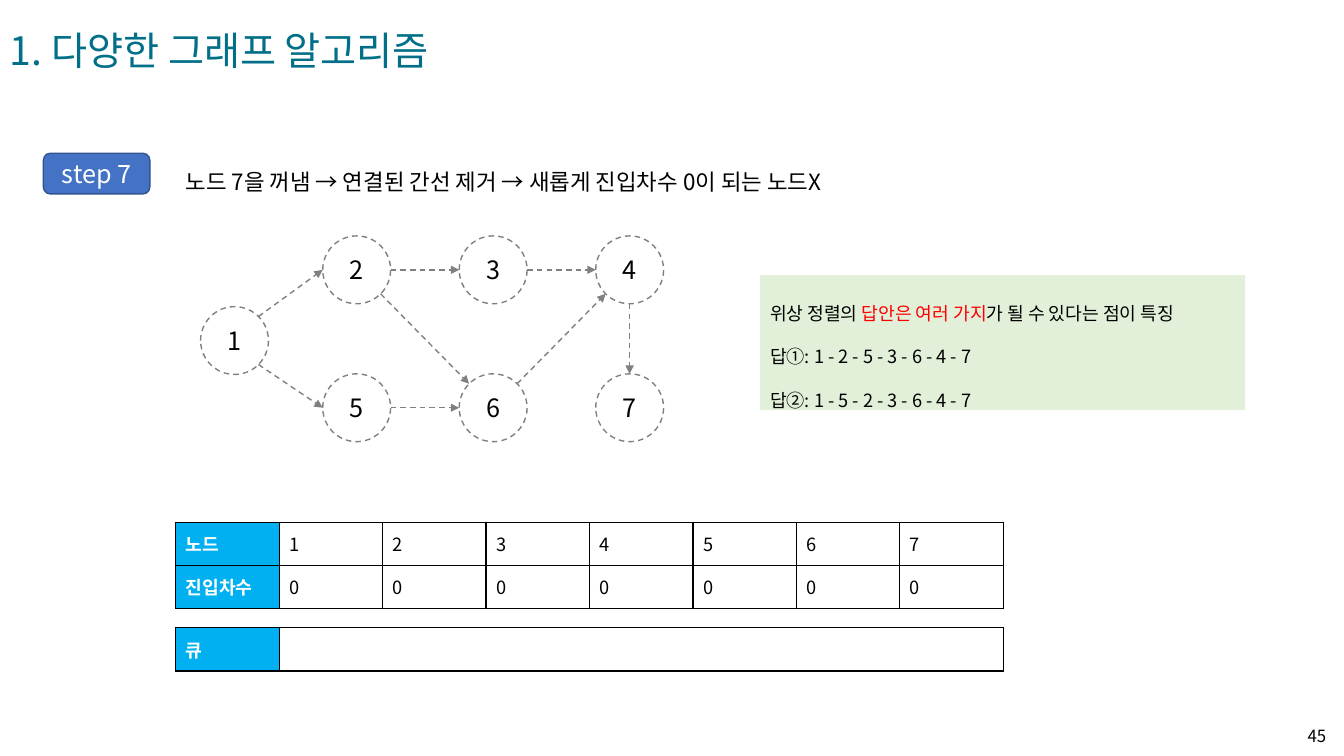
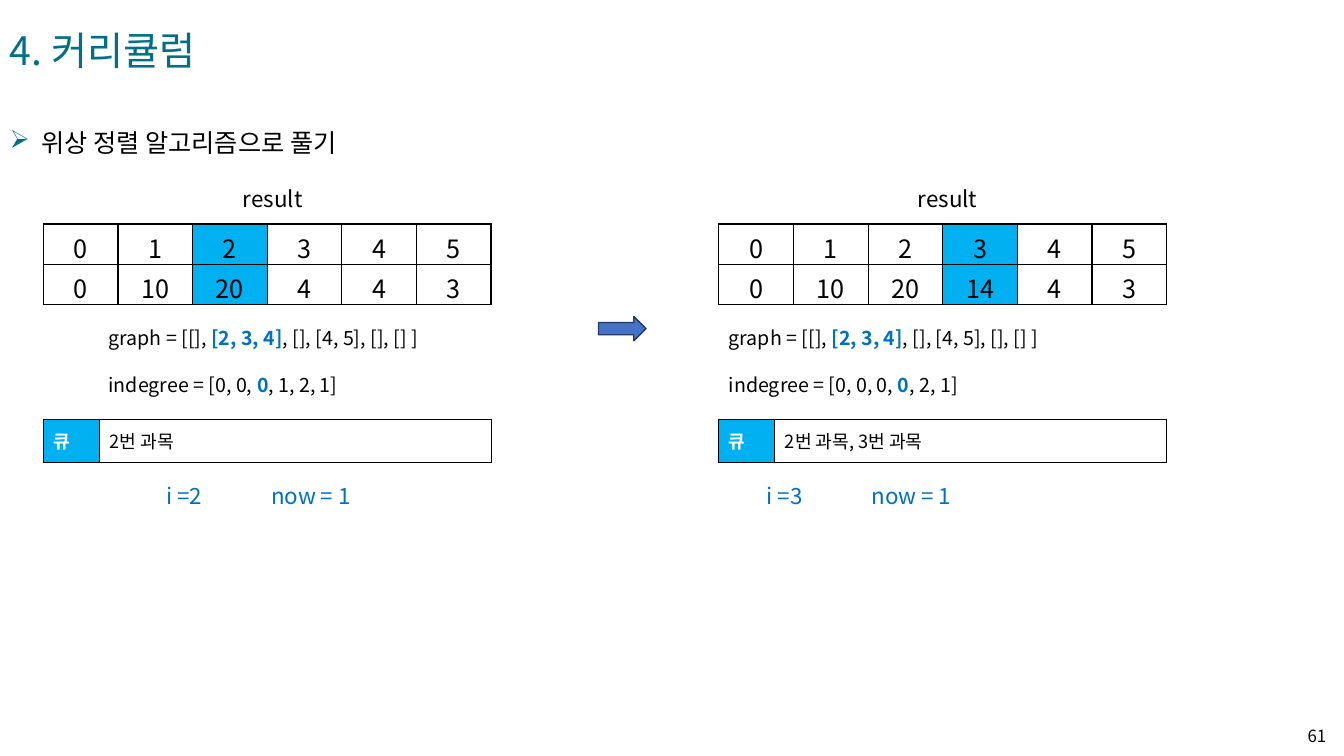
from math import sqrt

from lxml.etree import SubElement
from pptx import Presentation
from pptx.dml.color import RGBColor
from pptx.enum.dml import MSO_LINE
from pptx.enum.shapes import MSO_CONNECTOR, MSO_SHAPE
from pptx.enum.text import MSO_ANCHOR, MSO_AUTO_SIZE, PP_ALIGN
from pptx.oxml.ns import qn
from pptx.util import Pt

COLORS = {
    "title": "016F87",
    "text": "000000",
    "white": "FFFFFF",
    "accent": "4472C4",
    "step_edge": "325491",
    "arrow_edge": "223961",
    "header": "00B0F0",
    "note": "E2F0D9",
    "warning": "FF0000",
    "changed": "0070C0",
    "graph": "808080",
}
FONT = "Noto Sans CJK KR"

NODE_SIZE = 48.5
NODE_COLUMNS = [230.5 + 97.5 * column for column in range(3)]
UPPER, MIDDLE, LOWER = 168.5, 219, 267
NODES = {
    1: (143.25, MIDDLE),
    2: (NODE_COLUMNS[0], UPPER),
    3: (NODE_COLUMNS[1], UPPER),
    4: (NODE_COLUMNS[2], UPPER),
    5: (NODE_COLUMNS[0], LOWER),
    6: (NODE_COLUMNS[1], LOWER),
    7: (NODE_COLUMNS[2], LOWER),
}
DIAGONAL = sqrt(0.5)
RIM = {
    "top": (0, -1), "bottom": (0, 1), "left": (-1, 0), "right": (1, 0),
    "top left": (-DIAGONAL, -DIAGONAL), "top right": (DIAGONAL, -DIAGONAL),
    "bottom left": (-DIAGONAL, DIAGONAL), "bottom right": (DIAGONAL, DIAGONAL),
}
EDGES = [
    (1, "top right", 2, "left"),
    (1, "bottom right", 5, "left"),
    (2, "right", 3, "left"),
    (5, "right", 6, "left"),
    (2, "bottom right", 6, "top left"),
    (6, "top right", 4, "bottom left"),
    (3, "right", 4, "left"),
    (4, "bottom", 7, "top"),
]


def rgb(color):
    return RGBColor.from_string(COLORS[color])


def style_font(font, size, color="text", bold=False):
    font.size = Pt(size)
    font.bold = bold
    font.color.rgb = rgb(color)
    font.name = FONT
    SubElement(font._rPr, qn("a:ea")).set("typeface", FONT)


def write(frame, paragraphs, size, color="text", bold=False, align=None,
          spacing=None, bullet=None):
    """Fill a text frame; a paragraph is a string or a list of (text, color, bold)."""
    for index, content in enumerate(paragraphs):
        paragraph = frame.add_paragraph() if index else frame.paragraphs[0]
        paragraph.alignment = align
        if spacing:
            paragraph.line_spacing = spacing
        if bullet:
            add_bullet(paragraph, bullet)
        if isinstance(content, str):
            paragraph.text = content
            style_font(paragraph.font, size, color, bold)
            continue
        for text, run_color, run_bold in content:
            run = paragraph.add_run()
            run.text = text
            style_font(run.font, size, run_color, run_bold)


def add_bullet(paragraph, bullet):
    properties = paragraph._p.get_or_add_pPr()
    properties.set("marL", str(Pt(22.5)))
    properties.set("indent", str(-Pt(22.5)))
    bullet_color = SubElement(properties, qn("a:buClr"))
    SubElement(bullet_color, qn("a:srgbClr")).set("val", COLORS["title"])
    SubElement(properties, qn("a:buChar")).set("char", bullet)


def add_text(slide, box, paragraphs, size, wrap=True, grow=True,
             anchor=MSO_ANCHOR.TOP, **style):
    frame = slide.shapes.add_textbox(*map(Pt, box)).text_frame
    frame.word_wrap = wrap
    frame.auto_size = MSO_AUTO_SIZE.SHAPE_TO_FIT_TEXT if grow else MSO_AUTO_SIZE.NONE
    frame.vertical_anchor = anchor
    write(frame, paragraphs, size, **style)


def add_shape(slide, kind, box, fill=None, edge=None):
    shape = slide.shapes.add_shape(kind, *map(Pt, box))
    shape.shadow.inherit = False
    if fill:
        shape.fill.solid()
        shape.fill.fore_color.rgb = rgb(fill)
    else:
        shape.fill.background()
    if edge:
        shape.line.color.rgb = rgb(edge)
        shape.line.width = Pt(1)
    else:
        shape.line.fill.background()
    return shape


def add_borders(cell):
    properties = cell._tc.get_or_add_tcPr()
    for index, side in enumerate(("a:lnL", "a:lnR", "a:lnT", "a:lnB")):
        border = properties.makeelement(qn(side), {"w": str(Pt(1))})
        fill = SubElement(border, qn("a:solidFill"))
        SubElement(fill, qn("a:srgbClr")).set("val", COLORS["text"])
        properties.insert(index, border)


def add_grid(slide, left, top, widths, row_height, rows, size, is_marked,
             marked_style=None, anchor=MSO_ANCHOR.MIDDLE, align=None):
    """Add a bordered table; the columns that is_marked accepts are filled."""
    table = slide.shapes.add_table(
        len(rows), len(widths), Pt(left), Pt(top),
        Pt(sum(widths)), Pt(row_height * len(rows))).table
    table.first_row = table.horz_banding = False
    for column, width in zip(table.columns, widths):
        column.width = Pt(width)
    for row, texts in zip(table.rows, rows):
        row.height = Pt(row_height)
        for index, (cell, text) in enumerate(zip(row.cells, texts)):
            marked = is_marked(index)
            cell.vertical_anchor = anchor
            if marked:
                cell.fill.solid()
                cell.fill.fore_color.rgb = rgb("header")
            else:
                cell.fill.background()
            add_borders(cell)
            style = marked_style if marked and marked_style else {}
            write(cell.text_frame, [text], size, align=align, **style)


def add_labelled_grid(slide, left, top, widths, rows):
    """Add a table whose first column holds white row labels."""
    add_grid(slide, left, top, widths, 30.75, rows, 13,
             is_marked=lambda column: column == 0,
             marked_style={"color": "white", "bold": True})


def add_page(deck, title, number):
    slide = deck.slides.add_slide(deck.slide_layouts[6])
    add_text(slide, (0, 15, 350, 41), [title], 28, wrap=False, color="title")
    add_text(slide, (913.5, 511, 41, 29), [number], 12, grow=False,
             anchor=MSO_ANCHOR.MIDDLE, align=PP_ALIGN.RIGHT)
    return slide


def add_node(slide, label, position):
    node = add_shape(slide, MSO_SHAPE.OVAL, (*position, NODE_SIZE, NODE_SIZE),
                     edge="graph")
    node.line.dash_style = MSO_LINE.DASH
    write(node.text_frame, [str(label)], 18, align=PP_ALIGN.CENTER)


def rim_point(node, side):
    radius = NODE_SIZE / 2
    return [Pt(start + radius * (1 + offset))
            for start, offset in zip(NODES[node], RIM[side])]


def add_edge(slide, source, source_side, target, target_side):
    edge = slide.shapes.add_connector(
        MSO_CONNECTOR.STRAIGHT,
        *rim_point(source, source_side), *rim_point(target, target_side))
    edge.line.color.rgb = rgb("graph")
    edge.line.width = Pt(1)
    edge.line.dash_style = MSO_LINE.DASH
    SubElement(edge.line._get_or_add_ln(), qn("a:tailEnd")).set("type", "triangle")
    SubElement(edge._element.spPr, qn("a:effectLst"))


def add_result_state(slide, left, marked, values, code_left, indegree, queue,
                     result_left, i_left, i_text):
    """Show the result table, lists and queue after one visit."""
    add_text(slide, (result_left, 129, 119.5, 26.5), ["result"], 16)
    add_grid(slide, left, 160, [53.3] * 6, 28.8, [list("012345"), values], 18,
             is_marked=lambda column: column == marked,
             anchor=MSO_ANCHOR.TOP, align=PP_ALIGN.CENTER)
    before, changed, after = indegree
    add_text(slide, (code_left, 212.5, 357, 71.5), [
        [("graph = [[], ", "text", False), ("[2, 3, 4]", "changed", True),
         (", [], [4, 5], [], [] ]", "text", False)],
        [(f"indegree = [{before}", "text", False), (changed, "changed", True),
         (f"{after}]", "text", False)],
    ], 14, spacing=2.0)
    add_labelled_grid(slide, left, 299.5, [40, 280], [["큐", queue]])
    add_text(slide, (i_left, 340.5, 68.5, 26.5), [i_text], 16, color="changed")
    add_text(slide, (i_left + 75, 340.5, 165, 26.5), ["now = 1"], 16,
             color="changed")


def build_step_page(deck):
    slide = add_page(deck, "1. 다양한 그래프 알고리즘", "45")
    step = add_shape(slide, MSO_SHAPE.ROUNDED_RECTANGLE, (31, 109.5, 76, 29),
                     fill="accent", edge="step_edge")
    write(step.text_frame, ["step 7"], 18, color="white", align=PP_ALIGN.CENTER)
    add_text(slide, (125.5, 97, 584, 40),
             ["노드 7을 꺼냄 → 연결된 간선 제거 → 새롭게 진입차수 0이 되는 노드X"],
             16, spacing=2.0)
    for label, position in NODES.items():
        add_node(slide, label, position)
    for edge in EDGES:
        add_edge(slide, *edge)
    label_width = 73.9
    add_labelled_grid(slide, 125.5, 373, [label_width] * 8,
                      [["노드", *"1234567"], ["진입차수", *"0" * 7]])
    add_labelled_grid(slide, 125.5, 448.5, [label_width, label_width * 7],
                      [["큐", ""]])
    note = add_shape(slide, MSO_SHAPE.RECTANGLE, (543, 196.5, 346.5, 96.5),
                     fill="note")
    note.text_frame.word_wrap = True
    note.text_frame.vertical_anchor = MSO_ANCHOR.TOP
    write(note.text_frame, [
        [("위상 정렬의 ", "text", False), ("답안은 여러 가지", "warning", False),
         ("가 될 수 있다는 점이 특징", "text", False)],
        "답①: 1 - 2 - 5 - 3 - 6 - 4 - 7",
        "답②: 1 - 5 - 2 - 3 - 6 - 4 - 7",
    ], 13, align=PP_ALIGN.LEFT, spacing=2.0)


def build_curriculum_page(deck):
    slide = add_page(deck, "4. 커리큘럼", "61")
    add_text(slide, (0, 66, 485, 44), ["위상 정렬 알고리즘으로 풀기"], 18,
             spacing=2.0, bullet="➢")
    add_result_state(slide, 31, 2, ["0", "10", "20", "4", "4", "3"], 70.5,
                     ("0, 0, ", "0", ", 1, 2, 1"), "2번 과목",
                     166.5, 111.5, "i =2")
    add_shape(slide, MSO_SHAPE.RIGHT_ARROW, (427.5, 226, 34, 17.5),
              fill="accent", edge="arrow_edge")
    add_result_state(slide, 513.5, 3, ["0", "10", "20", "14", "4", "3"], 513.5,
                     ("0, 0, 0, ", "0", ", 2, 1"), "2번 과목, 3번 과목",
                     648.5, 540.5, "i =3")


def main():
    deck = Presentation()
    deck.slide_width, deck.slide_height = Pt(960), Pt(540)
    build_step_page(deck)
    build_curriculum_page(deck)
    deck.save("out.pptx")


if __name__ == "__main__":
    main()
